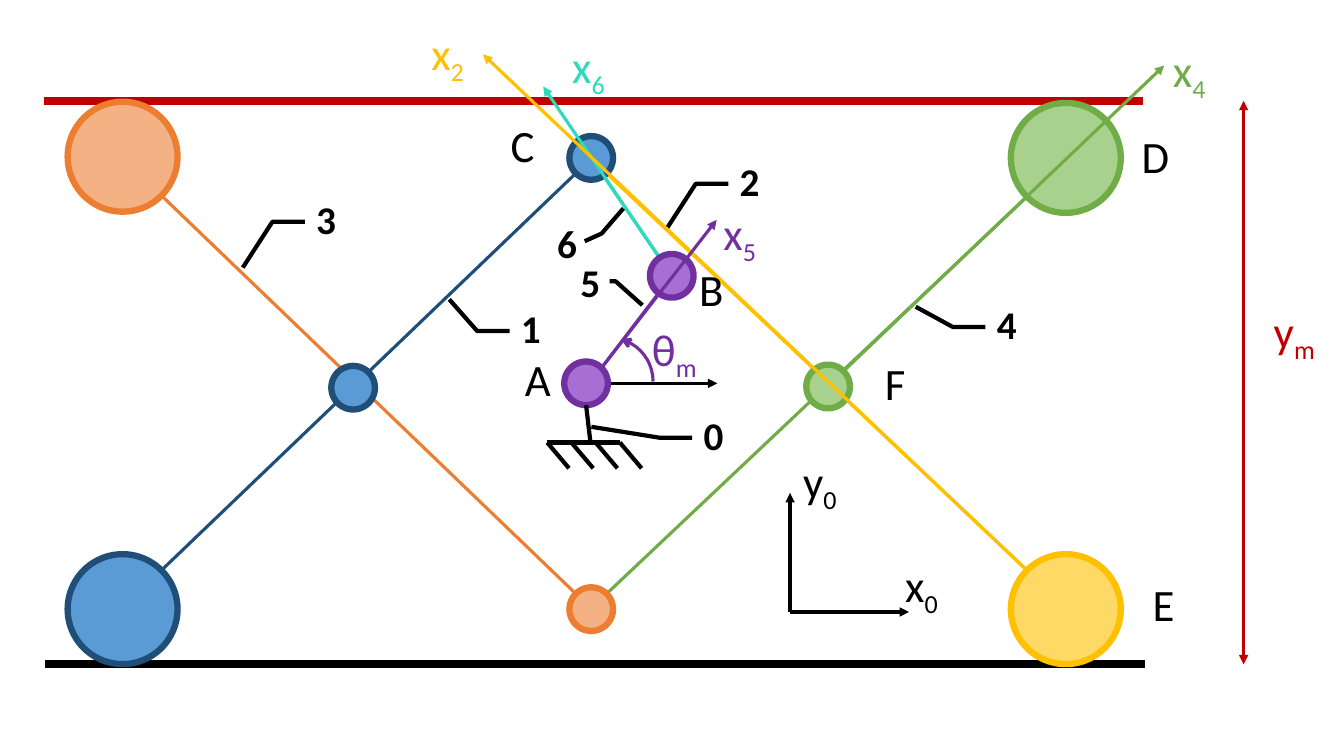
from math import sqrt, copysign
from lxml.etree import SubElement
from pptx import Presentation
from pptx.dml.color import RGBColor
from pptx.enum.shapes import MSO_CONNECTOR, MSO_SHAPE as Shape
from pptx.enum.text import MSO_ANCHOR, MSO_AUTO_SIZE, PP_ALIGN
from pptx.oxml.ns import qn
from pptx.util import Cm, Pt

# ---- Content (lengths in cm) ----
COLORS = {
    "black": "000000", "red": "C00000", "gold": "FFC000", "pale gold": "FFD966",
    "green": "70AD47", "pale green": "A9D18E", "orange": "ED7D31",
    "pale orange": "F4B183", "navy": "1F4E79", "blue": "5B9BD5",
    "purple": "7030A0", "pale purple": "A86ED4", "teal": "2EDAB9",
}
FONT = "Calibri"
WHEEL, PIN = 2.77, 1.1  # diameters

# name: centre x, centre y, diameter, fill, outline
JOINTS = {
    "blue wheel": (3.09, 15.35, WHEEL, "blue", "navy"),
    "left pin": (8.9, 9.77, PIN, "blue", "navy"),
    "bottom pin": (14.9, 15.35, PIN, "pale orange", "orange"),
    "F": (20.87, 9.74, PIN, "pale green", "green"),
    "orange wheel": (3.09, 3.95, WHEEL, "pale orange", "orange"),
    "D": (26.86, 3.98, WHEEL, "pale green", "green"),
    "E": (26.86, 15.35, WHEEL, "pale gold", "gold"),
    "A": (14.77, 9.66, PIN, "pale purple", "purple"),
    "C": (14.9, 3.98, PIN, "blue", "navy"),
    "B": (16.93, 6.95, PIN, "pale purple", "purple"),
}
LINKS = [("C", "E", "gold"), ("bottom pin", "D", "green"),
         ("orange wheel", "bottom pin", "orange"), ("C", "blue wheel", "navy")]
RAILS = [(1.12, 28.8, 2.54, "red"), (1.14, 28.85, 16.74, "black")]
LINK_AXES = [("F", (29.34, 1.65), "green"), ("E", (12.17, 1.37), "gold")]
X6_TIP, X5_TIP, A_TIP = (13.69, 2.18), (18.06, 5.54), (18.08, 9.66)
ORIGIN, AXIS_LENGTH = (19.91, 15.42), 3
GROUND_LEFT, GROUND_TOP, HATCH_STEP, HATCHES = 13.79, 11.15, 0.61, 4
ANGLE_ARC = (14.25, 8.51, 2.21)  # left, top, size
TRAVEL_X = 31.34

# number: left, top, leader as y, x fractions of its box
SIDE = [0.58, -0.04, 0.58, -0.94]
LINK_NUMBERS = {
    "3": (7.72, 5.0, SIDE + [1.71, -1.76]),
    "1": (12.88, 7.75, SIDE + [-0.2, -1.71]),
    "2": (18.39, 4.04, SIDE + [1.71, -1.76]),
    "4": (24.87, 7.65, SIDE + [0.08, -1.97]),
    "0": (17.48, 10.44, SIDE + [0.31, -2.83]),
    "5": (14.38, 6.58, [0.5, 1.08, 0.5, 1.25, 1.09, 1.99]),
    "6": (13.79, 5.61, [0.46, 1.04, 0.27, 1.51, -0.35, 2.11]),
}
# letter, subscript, left, top, width, colour
LABELS = [
    ("A", "", 12.98, 8.74, 1.17, "black"), ("B", "", 17.37, 6.48, 1.17, "black"),
    ("C", "", 12.62, 2.84, 1.12, "black"), ("E", "", 28.8, 14.4, 1.07, "black"),
    ("D", "", 28.52, 3.12, 1.22, "black"), ("F", "", 22.05, 8.84, 1.07, "black"),
    ("x", "5", 17.98, 5.05, 1.4, "purple"), ("x", "6", 14.17, 0.84, 1.4, "teal"),
    ("x", "4", 29.31, 0.94, 1.4, "green"), ("x", "2", 10.62, 0.53, 1.4, "gold"),
    ("x", "0", 22.56, 13.92, 1.4, "black"), ("y", "0", 19.99, 11.3, 1.42, "black"),
    ("θ", "m", 16.18, 7.98, 1.73, "purple"), ("y", "m", 31.85, 7.52, 1.63, "red"),
]

prs = Presentation()
prs.slide_width, prs.slide_height = Cm(33.87), Cm(19.05)
shapes = prs.slides.add_slide(prs.slide_layouts[6]).shapes


def rgb(color):
    return RGBColor.from_string(COLORS[color])


def style_line(line, color, width, head=None, tail=None):
    line.color.rgb = rgb(color)
    line.width = Pt(width)
    for tag, kind in (("a:headEnd", head), ("a:tailEnd", tail)):
        if kind:
            SubElement(line._get_or_add_ln(), qn(tag), type=kind)


def draw_line(start, end, color, width=2.25, head=None, tail=None):
    line = shapes.add_connector(MSO_CONNECTOR.STRAIGHT, *map(Cm, (*start, *end)))
    style_line(line.line, color, width, head, tail)
    SubElement(line._element.spPr, qn("a:effectLst"))


def draw_arrow(start, end, color, head=None):
    draw_line(start, end, color, head=head, tail="triangle")


def draw_shape(kind, left, top, width, height):
    shape = shapes.add_shape(kind, *map(Cm, (left, top, width, height)))
    shape.shadow.inherit = False
    shape.fill.background()
    return shape


def draw_joint(name):
    x, y, size, fill, outline = JOINTS[name]
    joint = draw_shape(Shape.OVAL, x - size / 2, y - size / 2, size, size)
    joint.fill.solid()
    joint.fill.fore_color.rgb = rgb(fill)
    style_line(joint.line, outline, 4.5)


def center(name):
    return JOINTS[name][:2]


def rim(name, target):
    """Diagonal point on the joint's rim that faces the target."""
    x, y, size = JOINTS[name][:3]
    reach = size / 2 / sqrt(2)
    return (x + copysign(reach, target[0] - x), y + copysign(reach, target[1] - y))


def style_text(run, size, color, bold=False):
    run.font.name, run.font.size, run.font.bold = FONT, Pt(size), bold
    run.font.color.rgb = rgb(color)


# Rails and links
draw_arrow(center("A"), A_TIP, "black")
for left, right, y, color in RAILS:
    draw_line((left, y), (right, y), color, 6)
for start, end, color in LINKS:
    draw_line(rim(start, center(end)), rim(end, center(start)), color)
draw_line(center("B"), rim("A", center("B")), "purple")
draw_line(center("B"), center("C"), "teal")

# Joints; B comes later, above the x6 axis
for name in JOINTS:
    if name != "B":
        draw_joint(name)

# Ground under A
ground_right = GROUND_LEFT + (HATCHES - 1) * HATCH_STEP
draw_line((JOINTS["A"][0], JOINTS["A"][1] + PIN / 2), (14.88, GROUND_TOP), "black", 3)
draw_line((GROUND_LEFT, GROUND_TOP), (ground_right, GROUND_TOP), "black", 3)
for i in range(HATCHES):
    x = GROUND_LEFT + i * HATCH_STEP
    draw_line((x, GROUND_TOP), (x + 0.55, GROUND_TOP + 0.65), "black", 3)

# Link numbers with leaders
for number, (left, top, leader) in LINK_NUMBERS.items():
    callout = draw_shape(Shape.LINE_CALLOUT_2_NO_BORDER, left, top, 0.91, 1.02)
    for i, value in enumerate(leader):
        callout.adjustments[i] = value
    style_line(callout.line, "black", 3)
    frame = callout.text_frame
    frame.text = number
    frame.vertical_anchor = MSO_ANCHOR.MIDDLE
    frame.paragraphs[0].alignment = PP_ALIGN.CENTER
    style_text(frame.paragraphs[0].runs[0], 28, "black", bold=True)

# Link axes
draw_arrow(center("B"), X6_TIP, "teal")
for name, tip, color in LINK_AXES:
    draw_arrow(rim(name, tip), tip, color)
draw_joint("B")
draw_arrow(rim("A", X5_TIP), X5_TIP, "purple")

# Base frame, motor angle and travel
draw_arrow(ORIGIN, (ORIGIN[0], ORIGIN[1] - AXIS_LENGTH), "black")
draw_arrow(ORIGIN, (ORIGIN[0] + AXIS_LENGTH, ORIGIN[1]), "black")
left, top, size = ANGLE_ARC
angle = draw_shape(Shape.ARC, left, top, size, size)
angle.adjustments[0], angle.adjustments[1] = 171.47, 0
style_line(angle.line, "purple", 2.25, head="arrow")
draw_arrow((TRAVEL_X, RAILS[1][2]), (TRAVEL_X, RAILS[0][2]), "red", head="triangle")

# Labels
for letter, subscript, left, top, width, color in LABELS:
    frame = shapes.add_textbox(Cm(left), Cm(top), Cm(width), Cm(1.62)).text_frame
    frame.word_wrap = False
    frame.auto_size = MSO_AUTO_SIZE.SHAPE_TO_FIT_TEXT
    label = frame.paragraphs[0]
    label.text = letter
    if subscript:
        lowered = label.add_run()
        lowered.text = subscript
        lowered._r.get_or_add_rPr().set("baseline", "-25000")
    for run in label.runs:
        style_text(run, 32, color)

prs.save("out.pptx")
